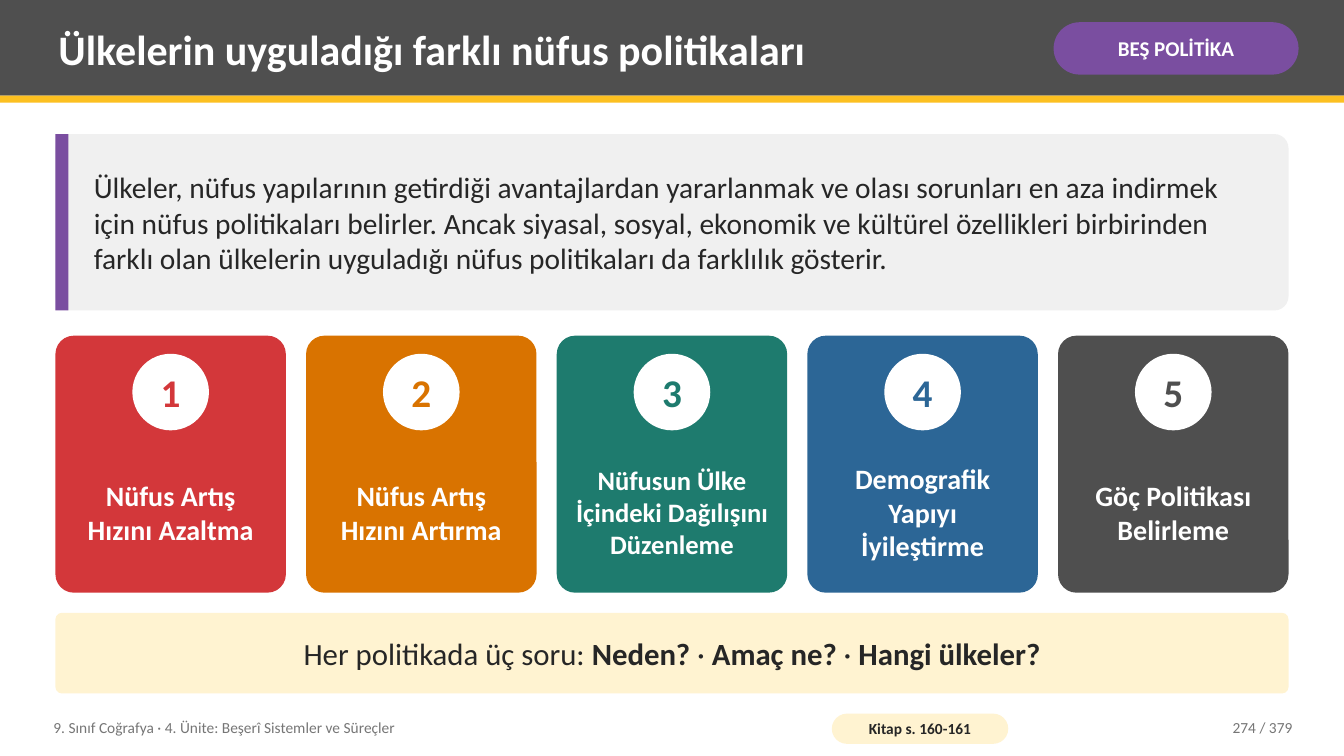
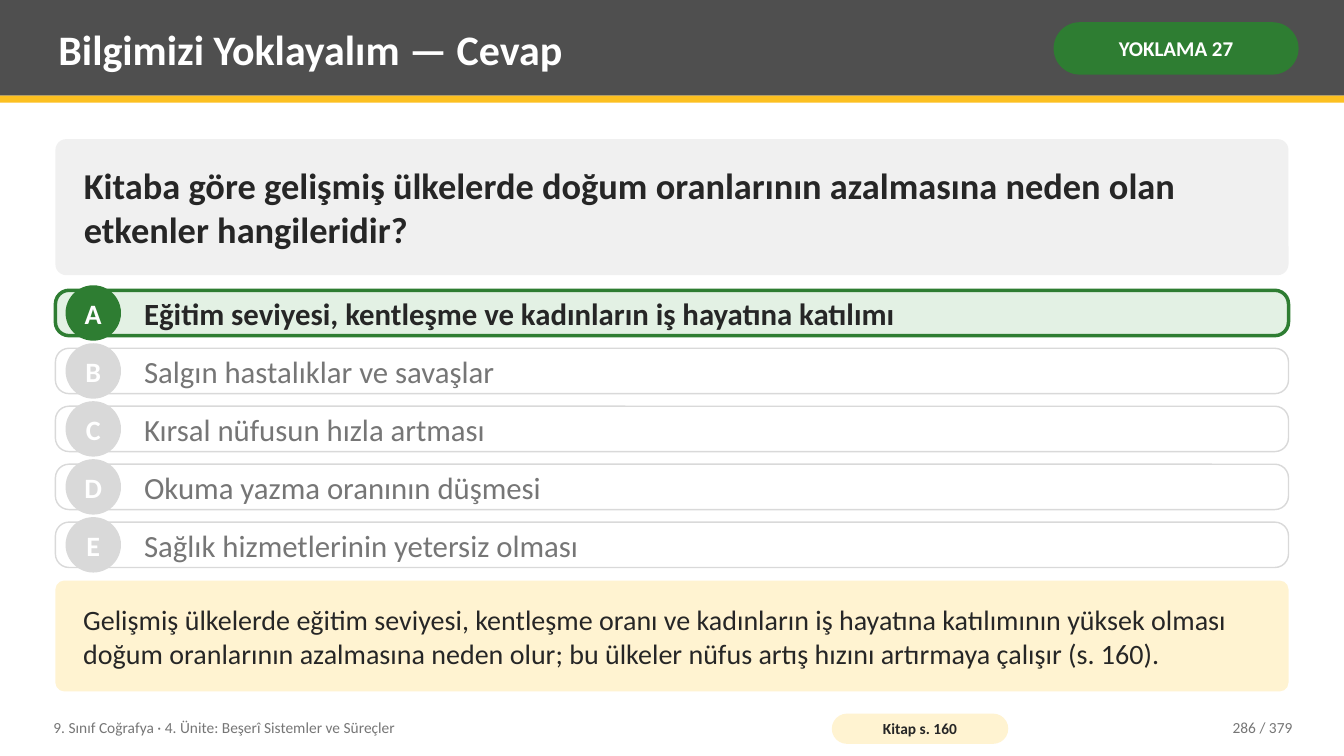
from pptx import Presentation
from pptx.dml.color import RGBColor
from pptx.enum.shapes import MSO_SHAPE as Shape
from pptx.enum.text import MSO_ANCHOR as Anchor, PP_ALIGN as Align
from pptx.util import Inches, Pt

# Shared look
FONT = "Calibri"
WHITE, INK, MUTED = "FFFFFF", "262626", "767676"
CHARCOAL, GOLD, CREAM = "4F4F4F", "FCC021", "FFF3D1"
PANEL, PALE = "F0F0F0", "D9D9D9"
PURPLE, GREEN, MINT = "7A4EA0", "2E7D32", "E3F1E4"

# Shared grid
SLIDE_W, SLIDE_H = 13.33, 7.5
LEFT = 0.55
CONTENT_W = SLIDE_W - 2 * LEFT
HEADER_H = 0.95
SOFT, PILL = 0.08, 0.5
TEXT_INSETS = (0.08, 0.04)
PANEL_INSETS = (0.25, 0.08)

UNIT = "9. Sınıf Coğrafya · 4. Ünite: Beşerî Sistemler ve Süreçler"
PAGE_COUNT = 379


def rgb(hex_color):
    return RGBColor.from_string(hex_color)


def write(shape, text, size, color, bold=False, align=Align.LEFT,
          insets=TEXT_INSETS, wrap=True):
    """Fill a shape with one paragraph; text is a string or (text, bold) pairs."""
    frame = shape.text_frame
    frame.word_wrap = wrap
    frame.vertical_anchor = Anchor.MIDDLE
    frame.margin_left = frame.margin_right = Inches(insets[0])
    frame.margin_top = frame.margin_bottom = Inches(insets[1])
    paragraph = frame.paragraphs[0]
    paragraph.alignment = align
    font = paragraph.font
    font.name, font.size, font.bold = FONT, Pt(size), bold
    font.color.rgb = rgb(color)
    if isinstance(text, str):
        paragraph.add_run().text = text
        return
    for words, strong in text:
        run = paragraph.add_run()
        run.text = words
        run.font.bold = strong


def block(slide, kind, box, fill, radius=None, line=None):
    shape = slide.shapes.add_shape(kind, *map(Inches, box))
    shape.shadow.inherit = False
    shape.fill.solid()
    shape.fill.fore_color.rgb = rgb(fill)
    if radius is not None:
        shape.adjustments[0] = radius
    if line:
        color, width = line
        shape.line.color.rgb = rgb(color)
        shape.line.width = Pt(width)
    else:
        shape.line.fill.background()
    return shape


def rounded(slide, box, fill, radius=SOFT, line=None):
    return block(slide, Shape.ROUNDED_RECTANGLE, box, fill, radius, line)


def label(slide, box, text, size, color, **style):
    write(slide.shapes.add_textbox(*map(Inches, box)), text, size, color, **style)


def badge(slide, center_x, center_y, diameter, mark, size, fill, color):
    box = (center_x - diameter / 2, center_y - diameter / 2, diameter, diameter)
    circle = block(slide, Shape.OVAL, box, fill)
    write(circle, mark, size, color, bold=True, align=Align.CENTER,
          insets=(0, 0), wrap=False)


def framed_slide(deck, title, tag, tag_color, book_pages, page):
    """Add a blank slide with the common header and footer."""
    slide = deck.slides.add_slide(deck.slide_layouts[6])
    # Header
    block(slide, Shape.RECTANGLE, (0, 0, SLIDE_W, HEADER_H), CHARCOAL)
    block(slide, Shape.RECTANGLE, (0, HEADER_H, SLIDE_W, 0.07), GOLD)
    label(slide, (0.5, 0.07, 9.75, 0.82), title, 30, WHITE, bold=True)
    tag_pill = rounded(slide, (10.45, 0.22, 2.43, 0.52), tag_color, PILL)
    write(tag_pill, tag, 15, WHITE, bold=True, align=Align.CENTER,
          insets=(0.05, 0.02))
    # Footer
    label(slide, (0.45, 7.04, 7.6, 0.36), UNIT, 11, MUTED)
    book_pill = rounded(slide, (8.25, 7.08, 1.75, 0.3), CREAM, PILL)
    write(book_pill, f"Kitap s. {book_pages}", 11, INK, bold=True,
          align=Align.CENTER, insets=(0.04, 0))
    label(slide, (11.3, 7.04, 1.6, 0.36), f"{page} / {PAGE_COUNT}", 11, MUTED,
          align=Align.RIGHT)
    return slide


def policy_cards(slide, policies, top=3.33, height=2.55, gap=0.2):
    width = (CONTENT_W - gap * (len(policies) - 1)) / len(policies)
    for index, (name, color, size) in enumerate(policies):
        left = LEFT + index * (width + gap)
        rounded(slide, (left, top, width, height), color)
        badge(slide, left + width / 2, top + 0.56, 0.76, str(index + 1), 28,
              WHITE, color)
        label(slide, (left + 0.1, top + 1.05, width - 0.2, 1.4), name, size,
              WHITE, bold=True, align=Align.CENTER)


def answer_options(slide, options, correct, top=2.88, height=0.45, gap=0.125):
    for index, (letter, answer) in enumerate(zip("ABCDE", options)):
        y = top + index * (height + gap)
        is_correct = letter == correct
        fill, line = (MINT, (GREEN, 2.5)) if is_correct else (WHITE, (PALE, 1))
        rounded(slide, (LEFT, y, CONTENT_W, height), fill, 0.3, line)
        badge(slide, 0.925, y + height / 2, 0.55, letter, 20, line[0], WHITE)
        label(slide, (1.35, y, CONTENT_W - 1, height), answer, 22,
              INK if is_correct else MUTED, bold=is_correct)


def policies_slide(deck):
    slide = framed_slide(deck, "Ülkelerin uyguladığı farklı nüfus politikaları",
                         "BEŞ POLİTİKA", PURPLE, "160-161", 274)
    # Introduction with accent bar
    top, height = 1.33, 1.75
    rounded(slide, (LEFT, top, CONTENT_W, height), PANEL)
    block(slide, Shape.RECTANGLE, (LEFT, top, 0.13, height), PURPLE)
    label(slide, (LEFT + 0.3, top, CONTENT_W - 0.45, height),
          "Ülkeler, nüfus yapılarının getirdiği avantajlardan yararlanmak ve "
          "olası sorunları en aza indirmek için nüfus politikaları belirler. "
          "Ancak siyasal, sosyal, ekonomik ve kültürel özellikleri birbirinden "
          "farklı olan ülkelerin uyguladığı nüfus politikaları da farklılık "
          "gösterir.", 21, INK)
    # Five policies
    policy_cards(slide, [
        ("Nüfus Artış Hızını Azaltma", "D3373A", 20),
        ("Nüfus Artış Hızını Artırma", "D97300", 20),
        ("Nüfusun Ülke İçindeki Dağılışını Düzenleme", "1E7B6E", 19),
        ("Demografik Yapıyı İyileştirme", "2C6696", 20),
        ("Göç Politikası Belirleme", CHARCOAL, 20),
    ])
    # Guiding questions
    questions = rounded(slide, (LEFT, 6.08, CONTENT_W, 0.8), CREAM)
    write(questions, [
        ("Her politikada üç soru: ", False), ("Neden?", True), (" · ", False),
        ("Amaç ne?", True), (" · ", False), ("Hangi ülkeler?", True),
    ], 22, INK, align=Align.CENTER, insets=(0.22, 0.08))


def answer_slide(deck):
    slide = framed_slide(deck, "Bilgimizi Yoklayalım — Cevap", "YOKLAMA 27",
                         GREEN, "160", 286)
    # Question
    question = rounded(slide, (LEFT, 1.38, CONTENT_W, 1.35), PANEL)
    write(question, "Kitaba göre gelişmiş ülkelerde doğum oranlarının "
          "azalmasına neden olan etkenler hangileridir?", 26, INK, bold=True,
          insets=PANEL_INSETS)
    # Options
    answer_options(slide, [
        "Eğitim seviyesi, kentleşme ve kadınların iş hayatına katılımı",
        "Salgın hastalıklar ve savaşlar",
        "Kırsal nüfusun hızla artması",
        "Okuma yazma oranının düşmesi",
        "Sağlık hizmetlerinin yetersiz olması",
    ], correct="A")
    # Explanation
    explanation = rounded(slide, (LEFT, 5.76, CONTENT_W, 1.1), CREAM)
    write(explanation, "Gelişmiş ülkelerde eğitim seviyesi, kentleşme oranı ve "
          "kadınların iş hayatına katılımının yüksek olması doğum oranlarının "
          "azalmasına neden olur; bu ülkeler nüfus artış hızını artırmaya "
          "çalışır (s. 160).", 20, INK, insets=PANEL_INSETS)


def main():
    deck = Presentation()
    deck.slide_width, deck.slide_height = Inches(SLIDE_W), Inches(SLIDE_H)
    policies_slide(deck)
    answer_slide(deck)
    deck.save("out.pptx")


if __name__ == "__main__":
    main()
